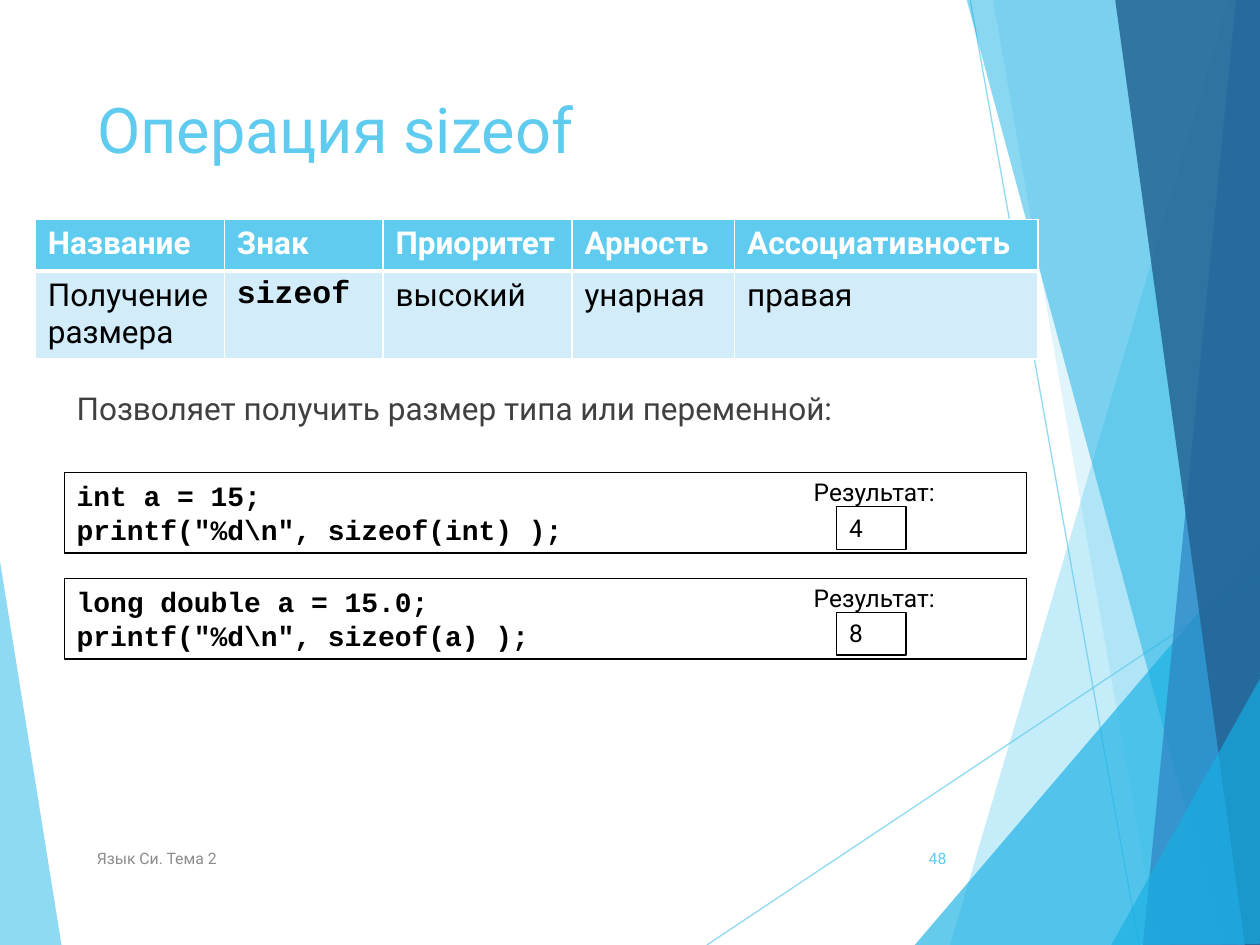
from lxml import etree
from pptx import Presentation, util as u
from pptx.dml.color import RGBColor
from pptx.enum import shapes, text
from pptx.oxml.ns import qn

COLS, ROWS = 100, 75
SKY = RGBColor(0x5F, 0xCB, 0xEF)
CYAN = RGBColor(0x17, 0xB0, 0xE4)
BLUE = RGBColor(0x2E, 0x83, 0xC3)
NAVY = RGBColor(0x22, 0x62, 0x92)
PALE = RGBColor(0xD2, 0xEC, 0xF9)
WHITE = RGBColor(0xFF, 0xFF, 0xFF)
BLACK = RGBColor(0, 0, 0)
DARK = RGBColor(0x40, 0x40, 0x40)
GRAY = RGBColor(0x8C, 0x8C, 0x8C)
SANS, MONO = "Roboto", "Courier New"

FACETS = [
    (SKY, 70, [(-0.1, 43.9), (4.9, 75.1), (-0.1, 75)]),
    (SKY, 36, [(97.5, 0), (75.4, 75), (100.2, 75.1), (100.1, 0.1)]),
    (SKY, 20, [(78.8, -0.1), (91.9, 75), (100.1, 75), (100.1, -0.1)]),
    (CYAN, 66, [(72.6, 75), (100, 42.9), (100.1, 75)]),
    (CYAN, 50, [(76.7, -0.1), (97, 75), (100.1, 74.9), (100.1, -0.1)]),
    (BLUE, 70, [(98.1, -0.1), (90.7, 75), (100.1, 75), (100, -0.1)]),
    (NAVY, 82, [(88.5, -0.1), (98.8, 75), (100.2, 75), (100, -0.1)]),
    (CYAN, 66, [(88.2, 75), (100.2, 53.5), (100.2, 74.9)]),
]
RAYS = [(56.1, 75, 100.1, 45.7), (77, 0, 90.4, 75)]


def cells(*counts):
    """Turn counts of grid cells into lengths."""
    return [u.Inches(n / 10) for n in counts]


def set_alpha(fill_parent, percent):
    """Set the opacity of the solid colour found below an element."""
    color = next(fill_parent.iter(qn("a:srgbClr")))
    etree.SubElement(color, qn("a:alpha")).set("val", str(percent * 1000))


def write(tf, content, size=18, font=SANS, color=BLACK, bold=False,
          align=text.PP_ALIGN.LEFT, anchor=text.MSO_ANCHOR.TOP):
    """Fill a text frame, one paragraph for each line."""
    tf.word_wrap = True
    tf.vertical_anchor = anchor
    for i, line in enumerate(content.split("\n")):
        p = tf.paragraphs[0] if i == 0 else tf.add_paragraph()
        p.alignment = align
        r = p.add_run()
        r.text = line
        r.font.size, r.font.name, r.font.bold = u.Pt(size), font, bold
        r.font.color.rgb = color


def add_text(s, box, content, **fmt):
    """Add a plain text box."""
    write(s.shapes.add_textbox(*cells(*box)).text_frame, content, **fmt)


def add_frame(s, box, content, **fmt):
    """Add a thin black outlined rectangle with text."""
    sp = s.shapes.add_shape(shapes.MSO_SHAPE.RECTANGLE, *cells(*box))
    sp.shadow.inherit = False
    sp.fill.background()
    sp.line.color.rgb = BLACK
    sp.line.width = u.Pt(0.75)
    write(sp.text_frame, content, **fmt)


def add_facet(s, color, opacity, points):
    """Add one translucent polygon."""
    start, *rest = [cells(*point) for point in points]
    builder = s.shapes.build_freeform(*start)
    builder.add_line_segments(rest, close=True)
    sp = builder.convert_to_shape()
    sp.shadow.inherit = False
    sp.fill.solid()
    sp.fill.fore_color.rgb = color
    set_alpha(sp.fill._xPr, opacity)
    sp.line.fill.background()


def add_ray(s, ends):
    """Add one thin translucent line."""
    sp = s.shapes.add_connector(shapes.MSO_CONNECTOR.STRAIGHT, *cells(*ends))
    sp.line.color.rgb = SKY
    sp.line.width = u.Pt(0.75)
    props = sp._element.spPr
    set_alpha(props, 70)
    etree.SubElement(props, qn("a:effectLst"))


def add_backdrop(s):
    """Draw the facets and rays along the slide's edges."""
    add_facet(s, *FACETS[0])
    for ends in RAYS:
        add_ray(s, ends)
    for facet in FACETS[1:]:
        add_facet(s, *facet)


def set_borders(cell, **widths):
    """Give a cell white borders, widths in points by side L, R, T, B."""
    props = cell._tc.get_or_add_tcPr()
    for i, (side, width) in enumerate(widths.items()):
        ln = etree.Element(qn(f"a:ln{side}"), w=str(u.Pt(width)))
        fill = etree.SubElement(ln, qn("a:solidFill"))
        etree.SubElement(fill, qn("a:srgbClr")).set("val", str(WHITE))
        props.insert(i, ln)


def add_operation_table(s, left, top, widths, heights, rows):
    """Add the table of the operation's properties."""
    box = cells(left, top, sum(widths), sum(heights))
    table = s.shapes.add_table(len(rows), len(widths), *box).table
    for col, width in zip(table.columns, cells(*widths)):
        col.width = width
    for row, height in zip(table.rows, cells(*heights)):
        row.height = height
    for i, row in enumerate(rows):
        head = i == 0
        for j, content in enumerate(row):
            cell = table.cell(i, j)
            code = content == "sizeof"
            cell.fill.solid()
            cell.fill.fore_color.rgb = SKY if head else PALE
            set_borders(cell, L=1, R=1, T=1 if head else 3, B=3 if head else 1)
            write(cell.text_frame, content, bold=head or code,
                  font=MONO if code else SANS, color=WHITE if head else BLACK)


def add_example(s, left, top, code, result):
    """Add a code sample with its labelled result on the right."""
    add_frame(s, (left, top, 76.4, 6.4), code, size=16, font=MONO, bold=True)
    add_text(s, (left + 58.5, top - 0.15, 14.2, 3.4), "Результат:", size=14)
    add_frame(s, (left + 61.3, top + 2.7, 5.5, 3.4), result, size=14)


def add_title(s, box, content):
    """Move and format the title placeholder."""
    sp = s.shapes.title
    sp.left, sp.top, sp.width, sp.height = cells(*box)
    write(sp.text_frame, content, size=36, color=SKY)


def add_footer(s, left, top, label, number):
    """Add the footer label and the slide number."""
    middle = text.MSO_ANCHOR.MIDDLE
    add_text(s, (left, top, 50.6, 4), label, size=9, color=GRAY, anchor=middle)
    add_text(s, (left + 63.8, top, 5.6, 4), number, size=9, color=SKY,
             anchor=middle, align=text.PP_ALIGN.RIGHT)


def main():
    """Build and save the slide."""
    prs = Presentation()
    prs.slide_width, prs.slide_height = cells(COLS, ROWS)
    s = prs.slides.add_slide(prs.slide_layouts[5])
    add_backdrop(s)
    add_title(s, (6.7, 6.7, 69.4, 14.4), "Операция sizeof")
    add_text(s, (5.1, 30.4, 69.4, 4.7),
             "Позволяет получить размер типа или переменной:", color=DARK)
    add_footer(s, 6.7, 66.1, "Язык Си. Тема 2", "48")
    add_operation_table(s, 2.8, 17.4, (15, 12.6, 15, 12.9, 24.1), (4.1, 7), [
        ("Название", "Знак", "Приоритет", "Арность", "Ассоциативность"),
        ("Получение размера", "sizeof", "высокий", "унарная", "правая"),
    ])
    examples = [
        ('int a = 15;\nprintf("%d\\n", sizeof(int) );', "4"),
        ('long double a = 15.0;\nprintf("%d\\n", sizeof(a) );', "8"),
    ]
    for i, (code, result) in enumerate(examples):
        add_example(s, 5.1, 37.5 + 8.4 * i, code, result)
    prs.save("out.pptx")


main()
